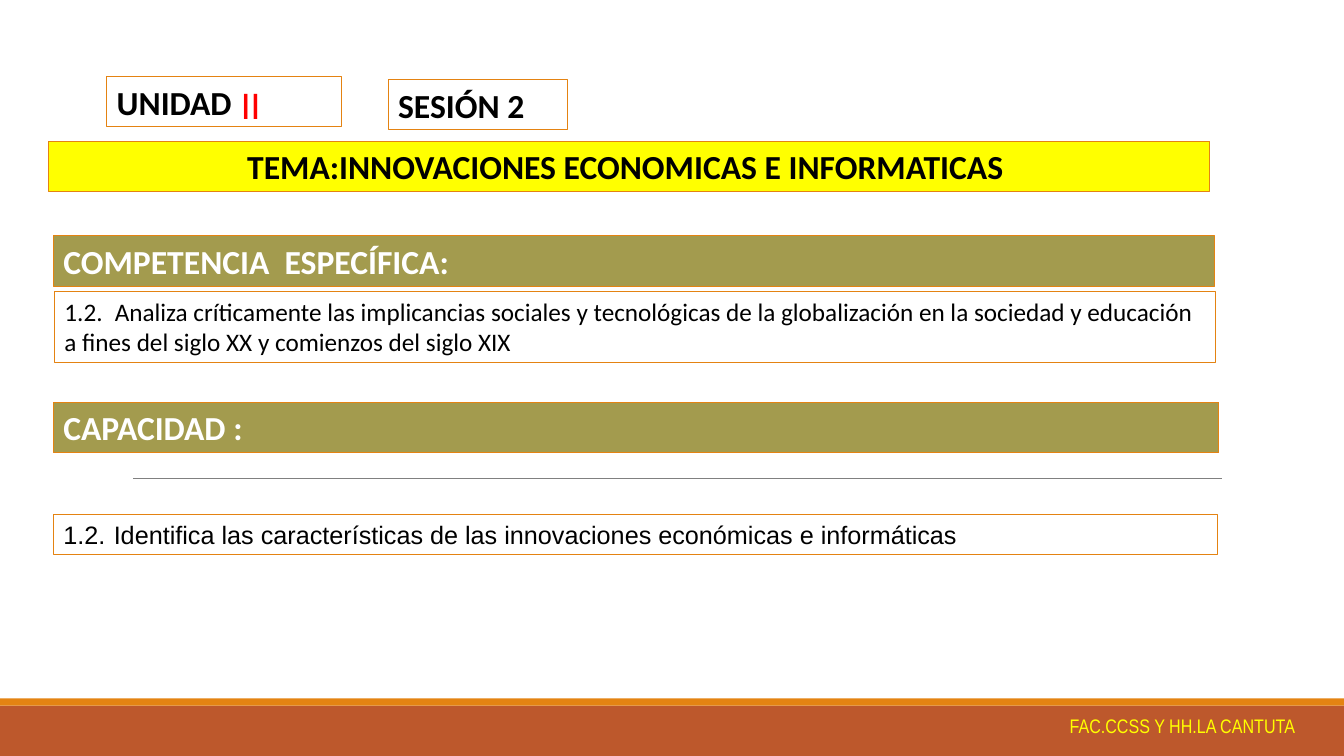
from pptx import Presentation
from pptx.dml.color import RGBColor
from pptx.enum.shapes import MSO_CONNECTOR as CONN, MSO_SHAPE as SHAPE
from pptx.enum.text import MSO_ANCHOR as ANCHOR, PP_ALIGN as ALIGN
from pptx.util import Inches, Pt
from lxml import etree

ORANGE, RUST, OLIVE, YELLOW = "E48312", "BD582C", "A39B4E", "FFFF00"
BLACK, WHITE, RED, GRAY = "000000", "FFFFFF", "FF0000", "808080"

# Content: text, (left, top, width, height), fill
HEADINGS = [
    ("UNIDAD", (1.06, 0.76, 2.33, 0.5), None),
    ("SESIÓN 2", (3.85, 0.79, 1.78, 0.5), None),
    ("TEMA:INNOVACIONES ECONOMICAS E INFORMATICAS ", (0.48, 1.4, 11.52, 0.5), YELLOW),
    ("COMPETENCIA  ESPECÍFICA:", (0.53, 2.34, 11.52, 0.5), OLIVE),
    ("CAPACIDAD :", (0.53, 3.99, 11.56, 0.5), OLIVE),
]
# Content: text, box, font
DETAILS = [
    ("1.2.\tAnaliza críticamente las implicancias sociales y tecnológicas de la "
     "globalización en la sociedad y educación a fines del siglo XX y comienzos "
     "del siglo XIX", (0.54, 2.89, 11.52, 0.71), "Calibri"),
    ("1.2.\tIdentifica las características de las innovaciones económicas e "
     "informáticas", (0.53, 5.1, 11.55, 0.4), "Arial"),
]
# Content: text, box, font, size, colour
LABELS = [
    ("II", (2.29, 0.75, 0.55, 0.56), "Calibri", 28, RED),
    ("FAC.CCSS Y HH.LA CANTUTA", (10.51, 7.03, 2.75, 0.34), "Arial Narrow", 14, YELLOW),
]
BANDS = [((0, 7, 13.33, 0.5), RUST), ((0, 6.93, 13.33, 0.07), ORANGE)]


def rgb(color):
    return RGBColor.from_string(color)


def add_rect(box, fill=None, line=None):
    sp = s.shapes.add_shape(SHAPE.RECTANGLE, *map(Inches, box))
    sp.shadow.inherit = False
    if fill:
        sp.fill.solid()
        sp.fill.fore_color.rgb = rgb(fill)
    else:
        sp.fill.background()
    if line:
        sp.line.color.rgb = rgb(line)
        sp.line.width = Pt(0.75)
    else:
        sp.line.fill.background()
    return sp


def write(sp, text, font, size, color, bold=False, align=ALIGN.LEFT):
    tf = sp.text_frame
    tf.word_wrap = True
    tf.vertical_anchor = ANCHOR.TOP
    p = tf.paragraphs[0]
    p.text = text
    p.alignment = align
    p.font.name, p.font.size, p.font.bold = font, Pt(size), bold
    p.font.color.rgb = rgb(color)
    # Half-inch tab after the item number
    p._p.get_or_add_pPr().set("defTabSz", str(Inches(0.5)))


prs = Presentation()
prs.slide_width, prs.slide_height = Inches(13.33), Inches(7.5)
s = prs.slides.add_slide(prs.slide_layouts[6])

# Footer bands and divider
for box, fill in BANDS:
    add_rect(box, fill)
divider = s.shapes.add_connector(CONN.STRAIGHT, *map(Inches, (1.32, 4.75, 12.12, 4.75)))
divider.line.color.rgb = rgb(GRAY)
divider.line.width = Pt(0.5)
etree.SubElement(divider._element.spPr,
                 "{http://schemas.openxmlformats.org/drawingml/2006/main}effectLst")

# Headings: the yellow one is centred, the olive ones are white
for text, box, fill in HEADINGS:
    write(add_rect(box, fill, ORANGE), text, "Calibri", 24,
          WHITE if fill == OLIVE else BLACK, True,
          ALIGN.CENTER if fill == YELLOW else ALIGN.LEFT)

# Details
for text, box, font in DETAILS:
    write(add_rect(box, line=ORANGE), text, font, 18, BLACK)

# Unit number and footer
for text, box, font, size, color in LABELS:
    write(s.shapes.add_textbox(*map(Inches, box)), text, font, size, color)

prs.save("out.pptx")
